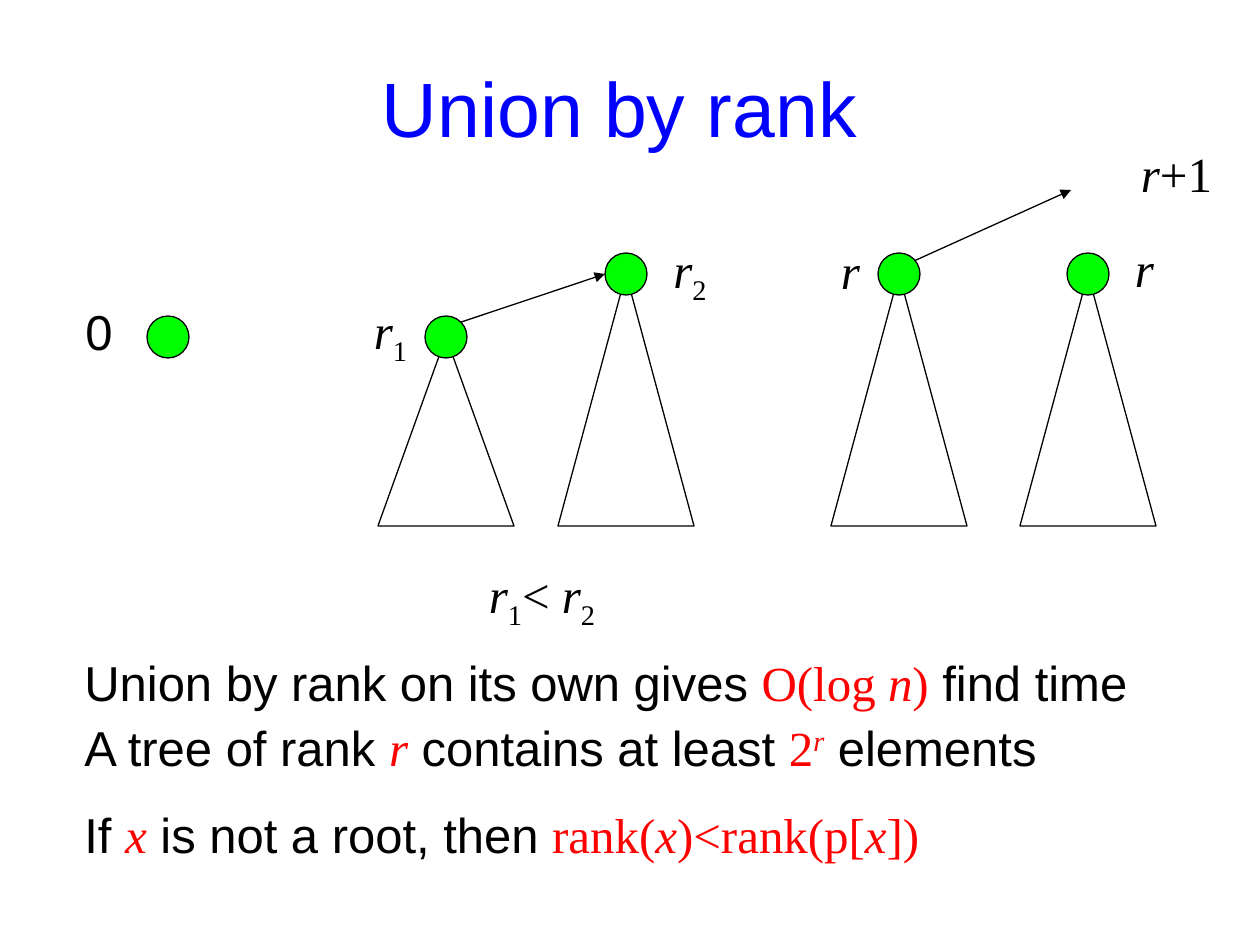
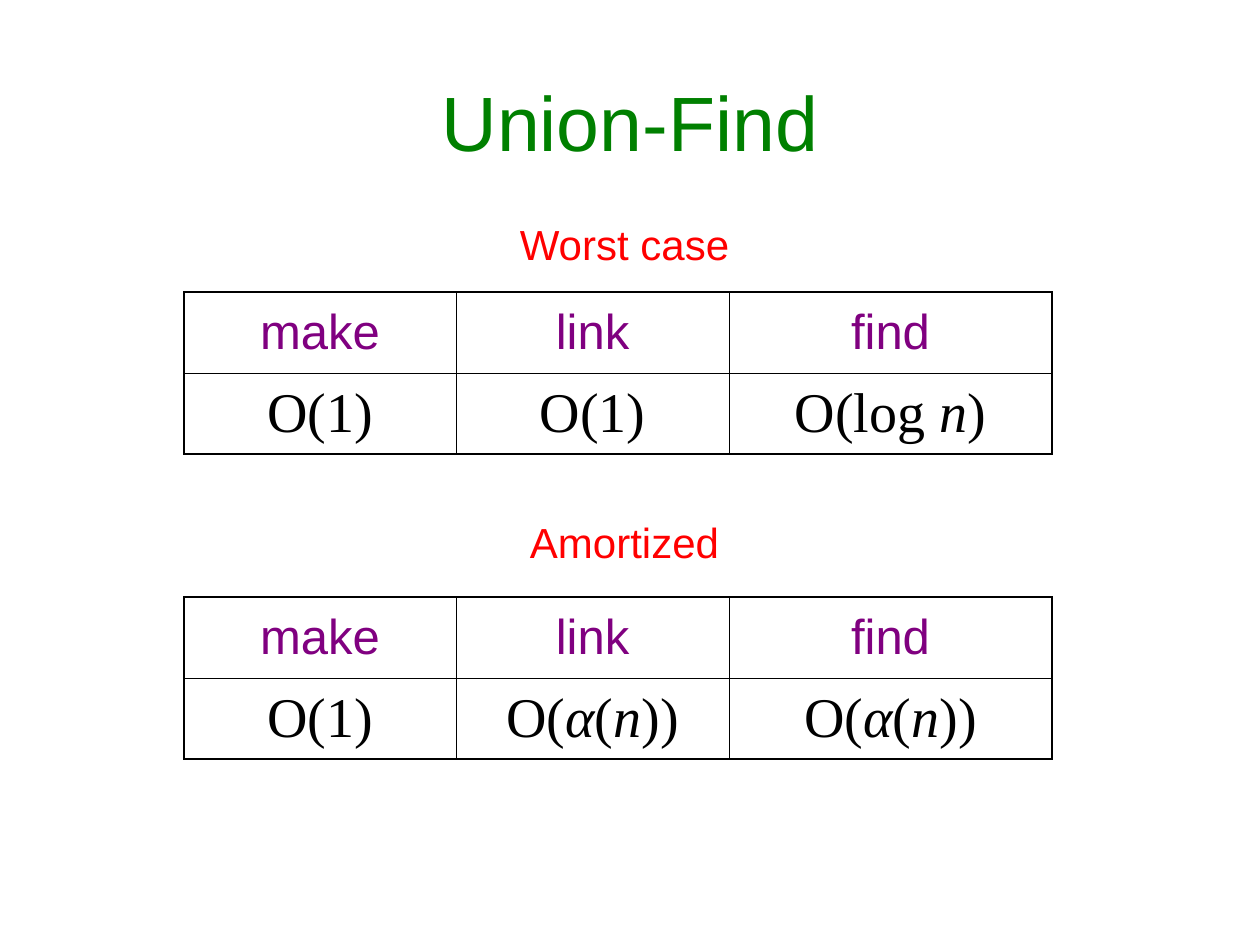
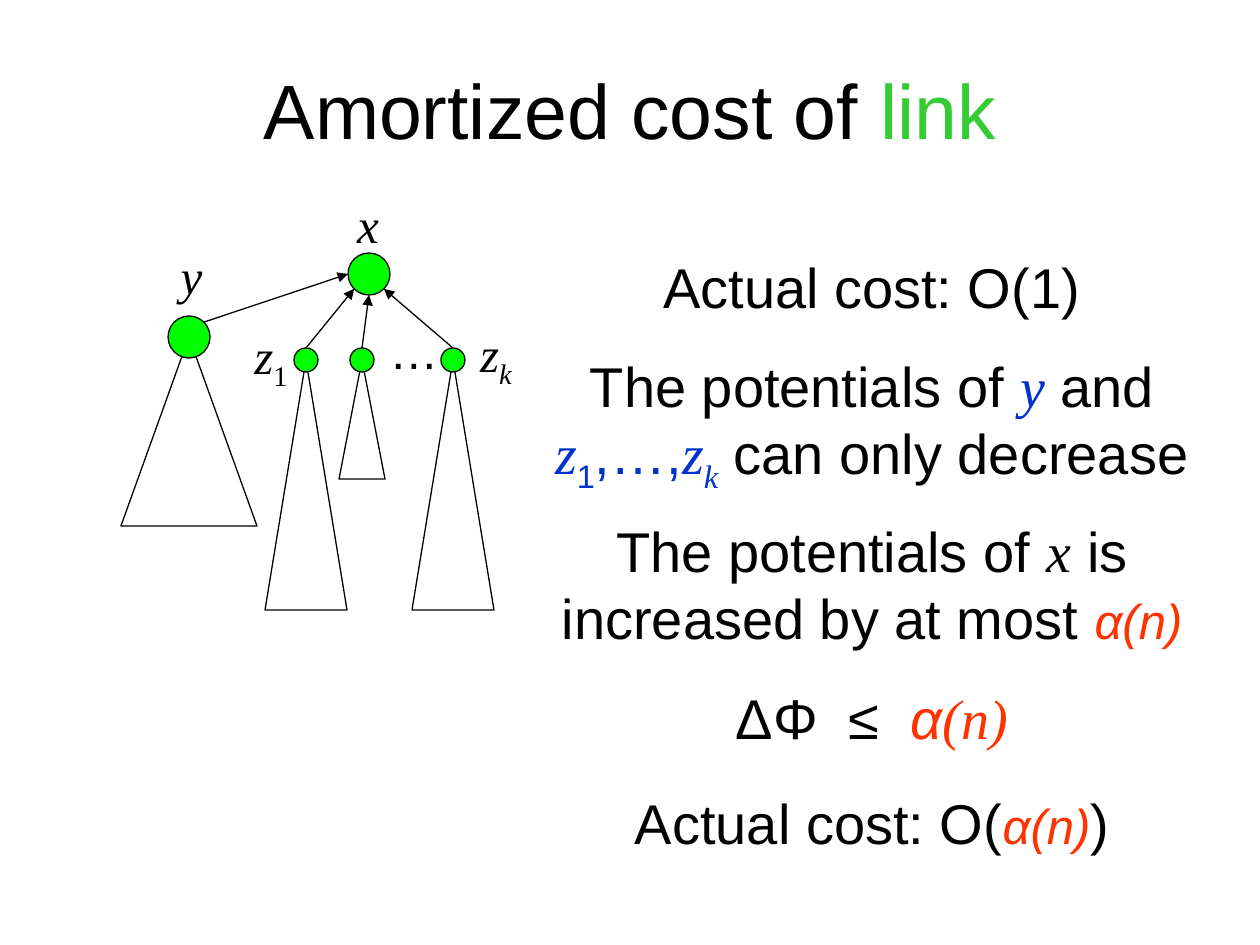
import math
from collections import namedtuple

from lxml import etree
from pptx import Presentation
from pptx.dml.color import RGBColor
from pptx.enum.shapes import MSO_CONNECTOR, MSO_SHAPE
from pptx.enum.text import MSO_ANCHOR, MSO_AUTO_SIZE, PP_ALIGN
from pptx.oxml.ns import qn
from pptx.util import Emu, Pt

STRAIGHT = MSO_CONNECTOR.STRAIGHT
ELLIPSE, TRIANGLE = MSO_SHAPE.OVAL, MSO_SHAPE.ISOSCELES_TRIANGLE
LEFT, CENTER = PP_ALIGN.LEFT, PP_ALIGN.CENTER
MIDDLE = MSO_ANCHOR.MIDDLE
GROW, FIXED = MSO_AUTO_SIZE.SHAPE_TO_FIT_TEXT, MSO_AUTO_SIZE.NONE

EMU_PER_PIXEL = 914400 / 126
TITLE_ONLY = 5
SANS, SERIF = "Arial", "Times New Roman"
BLACK, RED, GREEN = "000000", "FF0000", "00FF00"
BLUE, DARK_GREEN, LINK_GREEN = "0000FF", "008000", "33CC33"
PURPLE, COBALT, ORANGE = "800080", "0033CC", "FF3300"
HAIRLINE, TABLE_INNER, TABLE_OUTER = 0.74, 0.45, 1.08
ROOT_RADIUS, CHILD_RADIUS = 21, 12
TREE_WIDTH = 136
LABEL_HEIGHT, SUBSCRIPT_HEIGHT = 72, 79

Box = namedtuple("Box", "left top width height")
Point = namedtuple("Point", "x y")
Run = namedtuple("Run", "text font color italic base size")


def px(length):
    """Turn pixels into EMU."""
    return Emu(round(length * EMU_PER_PIXEL))


def rgb(code):
    """Turn a hex string into a colour."""
    return RGBColor.from_string(code)


def plain(text, color=BLACK, base=0, italic=False, size=None):
    """Describe a sans-serif run."""
    return Run(text, SANS, color, italic, base, size)


def num(text, color=BLACK, base=0):
    """Describe an upright run of mathematics."""
    return Run(text, SERIF, color, False, base, None)


def var(text, color=BLACK, base=0):
    """Describe an italic run of mathematics."""
    return Run(text, SERIF, color, True, base, None)


def write(frame, runs, size, align=CENTER, before=0):
    """Fill the first paragraph of a frame with formatted runs."""
    paragraph = frame.paragraphs[0]
    paragraph.alignment = align
    paragraph.space_before = Pt(before)
    for part in runs:
        run = paragraph.add_run()
        run.text = part.text
        run.font.name = part.font
        run.font.size = Pt(part.size or size)
        run.font.italic = part.italic
        run.font.color.rgb = rgb(part.color)
        if part.base:
            run.font._element.set("baseline", str(part.base * 1000))


def add_text(slide, box, runs, size=28, align=CENTER, before=None):
    """Add a growing text box; space before follows the text size."""
    frame = slide.shapes.add_textbox(*map(px, box)).text_frame
    frame.word_wrap = True
    frame.auto_size = GROW
    write(frame, runs, size, align, size * 0.625 if before is None else before)


def add_titled_slide(deck, box, runs):
    """Add a slide whose title placeholder fills the box."""
    slide = deck.slides.add_slide(deck.slide_layouts[TITLE_ONLY])
    title = slide.shapes.title
    title.left, title.top, title.width, title.height = map(px, box)
    frame = title.text_frame
    frame.word_wrap = True
    frame.auto_size = FIXED
    frame.vertical_anchor = MIDDLE
    write(frame, runs, 44)
    return slide


def add_outline(slide, preset, box, fill=None):
    """Add a preset shape with a thin black outline."""
    shape = slide.shapes.add_shape(preset, *map(px, box))
    shape.shadow.inherit = False
    shape.line.color.rgb = rgb(BLACK)
    shape.line.width = Pt(HAIRLINE)
    if fill:
        shape.fill.solid()
        shape.fill.fore_color.rgb = rgb(fill)
    else:
        shape.fill.background()


def add_node(slide, center, radius=ROOT_RADIUS):
    """Add a green node around its centre."""
    add_outline(slide, ELLIPSE, Box(center.x - radius, center.y - radius,
                                    2 * radius, 2 * radius), GREEN)


def add_tree(slide, root, base, width=TREE_WIDTH, radius=ROOT_RADIUS):
    """Add a subtree hanging from its root node down to the base."""
    add_outline(slide, TRIANGLE, Box(root.x - width / 2, root.y,
                                     width, base - root.y))
    add_node(slide, root, radius)


def rim(center, degrees, radius=ROOT_RADIUS):
    """Give the point of a node's rim at an angle, counted anticlockwise."""
    angle = math.radians(degrees)
    return Point(center.x + radius * math.cos(angle),
                 center.y - radius * math.sin(angle))


def add_arrow(slide, start, end):
    """Add a thin arrow from one point to another."""
    arrow = slide.shapes.add_connector(STRAIGHT, *map(px, (*start, *end)))
    arrow.line.color.rgb = rgb(BLACK)
    arrow.line.width = Pt(HAIRLINE)
    properties = arrow._element.spPr
    etree.SubElement(properties.find(qn("a:ln")), qn("a:tailEnd"), type="triangle")
    etree.SubElement(properties, qn("a:effectLst"))


def pair_roots(box):
    """Give the lower and the upper root of a linked pair in a box."""
    return (Point(box.left + 68, box.top + 84),
            Point(box.left + 248, box.top + ROOT_RADIUS))


def link(slide, lower, upper):
    """Draw the arrow which links the lower root to the upper one."""
    add_arrow(slide, rim(lower, 45), rim(upper, 180))


def draw_unequal_ranks(slide, box):
    """Link a tree of lower rank to one of higher rank."""
    lower, upper = pair_roots(box)
    for root in (lower, upper):
        add_tree(slide, root, box.top + box.height)
    add_text(slide, Box(box.left - 19, box.top + 41, 63, SUBSCRIPT_HEIGHT),
             [var("r"), num("1", base=-25)])
    add_text(slide, Box(box.left + 278, box.top - 20, 68, SUBSCRIPT_HEIGHT),
             [var("r"), num("2", base=-25)])
    link(slide, lower, upper)
    add_text(slide, Box(box.left + 89, box.top + 305, 150, SUBSCRIPT_HEIGHT),
             [var("r"), num("1", base=-25), num("< "),
              var("r"), num("2", base=-25)])


def draw_equal_ranks(slide, box):
    """Link two trees of the same rank, which raises the rank by one."""
    first = Point(box.left + 69, box.top + ROOT_RADIUS)
    second = Point(first.x + 189, first.y)
    for root in (first, second):
        add_tree(slide, root, box.top + box.height)
    for x, y in ((-11, -19), (283, -21)):
        add_text(slide, Box(box.left + x, box.top + y, 63, LABEL_HEIGHT), [var("r")])
    add_arrow(slide, rim(first, 40), Point(box.left + 241, box.top - 63))
    add_text(slide, Box(box.left + 294, box.top - 116, 105, LABEL_HEIGHT),
             [var("r"), num("+1")])


def draw_single_node(slide, box):
    """Draw a lone node with its rank, zero, on the left."""
    add_node(slide, Point(box.left + 95, box.top + 42))
    add_text(slide, Box(box.left, box.top, 42, box.height), [plain("0")])


def draw_rank_facts(slide, box):
    """Write the three statements about ranks, left-aligned in the box."""
    facts = (
        (0, [plain("Union by rank on its own gives "), num("O(log ", RED),
             var("n", RED), num(")", RED), plain(" find time")]),
        (65, [plain("A tree of rank "), var("r", RED),
              plain(" contains at least "), num("2", RED), var("r", RED, 30),
              plain(" elements")]),
        (152, [plain("If "), var("x", RED), plain(" is not a root, then "),
               num("rank(", RED), var("x", RED), num(")<rank(p[", RED),
               var("x", RED), num("])", RED)]),
    )
    for offset, runs in facts:
        add_text(slide, Box(box.left, box.top + offset, box.width, LABEL_HEIGHT),
                 runs, align=LEFT)


def set_borders(cell, widths):
    """Draw black borders on a cell: left, right, top and bottom."""
    properties = cell._tc.get_or_add_tcPr()
    for index, (side, width) in enumerate(zip("LRTB", widths)):
        border = etree.Element(qn("a:ln" + side), w=str(round(width * 12700)))
        fill = etree.SubElement(border, qn("a:solidFill"))
        etree.SubElement(fill, qn("a:srgbClr"), val=BLACK)
        properties.insert(index, border)


def draw_cost_table(slide, box, costs):
    """Draw a table with the cost of each operation."""
    rows = ([[plain(name, PURPLE)] for name in ("make", "link", "find")], costs)
    table = slide.shapes.add_table(2, 3, *map(px, box)).table
    table.first_row = table.horz_banding = False
    for column, width in zip(table.columns, (272, 273, box.width - 545)):
        column.width = px(width)
    for r, (row, size) in enumerate(zip(rows, (28, 32))):
        table.rows[r].height = px(box.height / 2)
        for c, runs in enumerate(row):
            cell = table.cell(r, c)
            cell.fill.background()
            cell.vertical_anchor = MIDDLE
            write(cell.text_frame, runs, size, before=size / 4)
            set_borders(cell, [TABLE_OUTER if outer else TABLE_INNER
                               for outer in (c == 0, c == 2, r == 0, r == 1)])


def draw_link_diagram(slide, box):
    """Draw root y being linked to root x, which has children z1 to zk."""
    y, x = pair_roots(box)
    add_tree(slide, y, box.top + 273)
    add_node(slide, x)
    link(slide, y, x)
    children = ((185, 82, 357, 225), (241, 46, 226, 270), (332, 82, 357, 315))
    for offset, width, base, angle in children:
        child = Point(box.left + offset, box.top + 107)
        add_tree(slide, child, box.top + base, width, CHILD_RADIUS)
        add_arrow(slide, rim(child, 90, CHILD_RADIUS), rim(x, angle))
    labels = (
        (39, -14, 63, LABEL_HEIGHT, [var("y")]),
        (213, -65, 68, LABEL_HEIGHT, [var("x")]),
        (256, 61, 68, LABEL_HEIGHT, [plain("…")]),
        (116, 66, 68, SUBSCRIPT_HEIGHT, [var("z"), num("1", base=-25)]),
        (341, 64, 68, SUBSCRIPT_HEIGHT, [var("z"), var("k", base=-25)]),
    )
    for left, top, width, height, runs in labels:
        add_text(slide, Box(box.left + left, box.top + top, width, height), runs)


def draw_cost_argument(slide, box):
    """Write the steps of the cost argument, centred in the box."""
    bound = plain("α(n)", ORANGE, italic=True, size=28)
    steps = (
        (0, 679, 81, 20, [plain("Actual cost: O(1)")]),
        (99, 714, 156, 20, [
            plain("The potentials of "), var("y", COBALT), plain(" and "),
            var("z", COBALT), plain("1", COBALT, -25), plain(",…,", COBALT),
            var("z", COBALT), var("k", COBALT, -25),
            plain(" can only decrease")]),
        (264, 714, 147, 17.5, [
            plain("The potentials of "), var("x"),
            plain(" is increased by at most "), bound]),
        (431, 364, 81, 20, [
            plain("ΔΦ  ≤  "), plain("α", ORANGE, italic=True), var("(n)", ORANGE)]),
        (536, 564, 81, 20, [plain("Actual cost: O("), bound, plain(")")]),
    )
    for offset, width, height, before, runs in steps:
        left = box.left + (box.width - width) / 2
        add_text(slide, Box(left, box.top + offset, width, height), runs,
                 size=32, before=before)


def build_rank_slide(deck):
    """Build the slide on union by rank."""
    slide = add_titled_slide(deck, Box(273, 63, 693, 88),
                             [plain("Union by rank", BLUE)])
    draw_single_node(slide, Box(73, 295, 116, LABEL_HEIGHT))
    draw_unequal_ranks(slide, Box(378, 253, 316, 273))
    draw_equal_ranks(slide, Box(830, 253, 326, 273))
    draw_rank_facts(slide, Box(72, 646, 1101, 224))


def build_cost_slide(deck):
    """Build the slide with the worst-case and amortized costs."""
    slide = add_titled_slide(deck, Box(63, 67, 1134, 108),
                             [plain("Union-Find", DARK_GREEN)])
    constant = [num("O(1)")]
    logarithmic = [num("O(log "), var("n"), num(")")]
    inverse = [num("O("), var("α"), num("("), var("n"), num("))")]
    sections = (
        ("Worst case", 212, 292, (constant, constant, logarithmic)),
        ("Amortized", 510, 597, (constant, inverse, inverse)),
    )
    for caption, caption_top, table_top, costs in sections:
        draw_cost_table(slide, Box(184, table_top, 868, 162), costs)
        add_text(slide, Box(358, caption_top, 533, 63), [plain(caption, RED)], size=24)


def build_link_slide(deck):
    """Build the slide on the amortized cost of link."""
    slide = add_titled_slide(deck, Box(0, 30, 1260, 158),
                             [plain("Amortized cost of "), plain("link", LINK_GREEN)])
    draw_link_diagram(slide, Box(121, 253, 373, 357))
    draw_cost_argument(slide, Box(515, 246, 714, 617))


def main():
    """Build the deck and save it."""
    deck = Presentation()
    deck.slide_width, deck.slide_height = px(1260), px(945)
    build_rank_slide(deck)
    build_cost_slide(deck)
    build_link_slide(deck)
    deck.save("out.pptx")


main()
